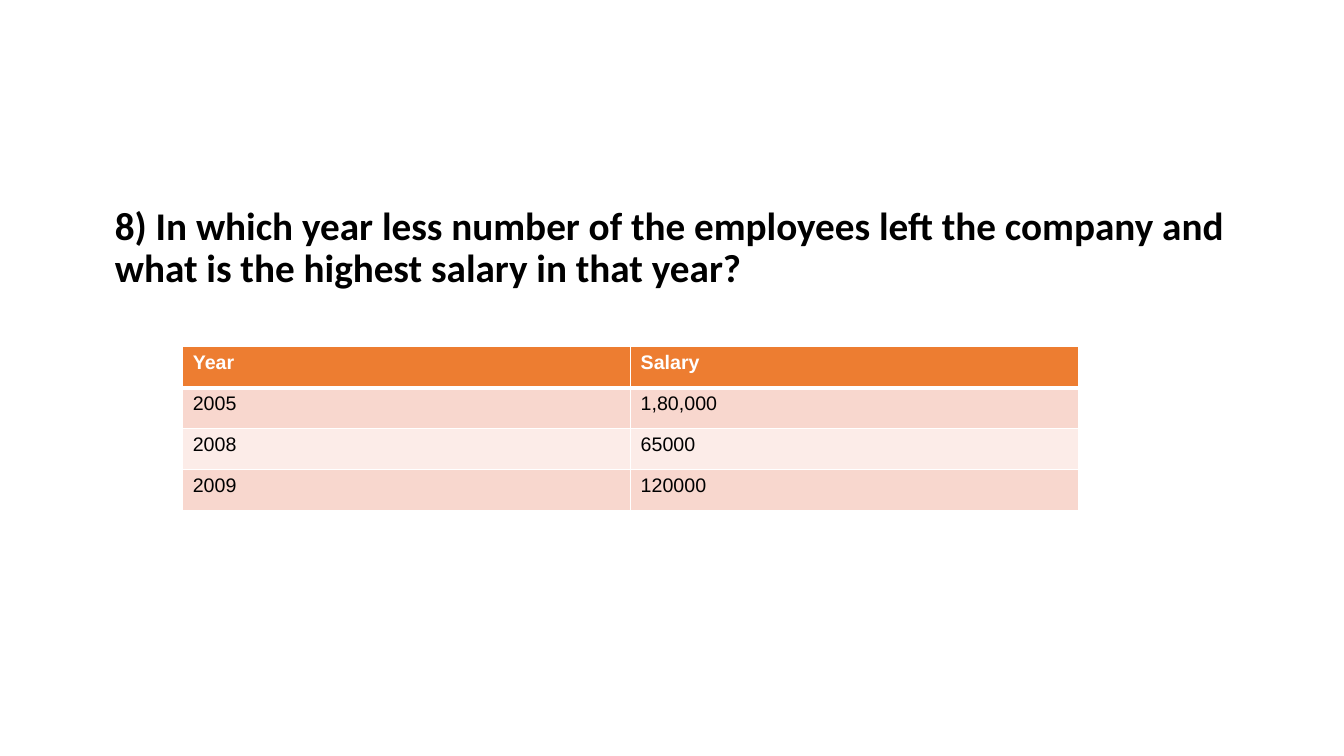
from dataclasses import dataclass

from lxml import etree
from pptx import Presentation
from pptx.dml.color import RGBColor
from pptx.enum.text import MSO_ANCHOR
from pptx.oxml.ns import qn
from pptx.util import Pt

TOP = MSO_ANCHOR.TOP


@dataclass(frozen=True)
class Theme:
    question_font: str = "Calibri"
    table_font: str = "Arial"
    question_size: float = 28
    table_size: float = 14
    ink: str = "000000"
    white: str = "FFFFFF"
    header_fill: str = "ED7D31"
    bands: tuple[str, str] = ("F8D7CE", "FCECE8")
    rule: float = 1
    header_rule: float = 3


@dataclass(frozen=True)
class SalaryRow:
    year: str
    salary: str
    is_header: bool = False


THEME = Theme()
QUESTION = (
    "8) In which year less number of the employees left the company "
    "and what is the highest salary in that year?"
)
SALARY_ROWS = [
    SalaryRow("Year", "Salary", is_header=True),
    SalaryRow("2005", "1,80,000"),
    SalaryRow("2008", "65000"),
    SalaryRow("2009", "120000"),
]
COLUMN_WIDTH = 320
ROW_HEIGHT = 29.2


def style_runs(paragraph, font_name: str, size: float, color: str, bold: bool) -> None:
    for run in paragraph.runs:
        run.font.name = font_name
        run.font.size = Pt(size)
        run.font.bold = bold
        run.font.color.rgb = RGBColor.from_string(color)


def add_question(slide) -> None:
    question = slide.shapes.add_textbox(Pt(66), Pt(143.75), Pt(828), Pt(342.6))
    frame = question.text_frame
    frame.text = QUESTION
    frame.word_wrap = True
    frame.vertical_anchor = TOP
    paragraph = frame.paragraphs[0]
    paragraph.line_spacing = 0.9
    paragraph.space_before = Pt(10)
    properties = paragraph._p.get_or_add_pPr()
    properties.set("marL", str(Pt(9)))
    properties.set("indent", "0")
    style_runs(paragraph, THEME.question_font, THEME.question_size, THEME.ink, True)


def add_border(cell, side: str, width: float) -> None:
    properties = cell._tc.get_or_add_tcPr()
    border = etree.SubElement(properties, qn(f"a:ln{side}"), w=str(Pt(width)))
    fill = etree.SubElement(border, qn("a:solidFill"))
    etree.SubElement(fill, qn("a:srgbClr"), val=THEME.white)


def fill_cell(cell, text: str, row_index: int, is_header: bool) -> None:
    top = THEME.header_rule if row_index == 1 else THEME.rule
    bottom = THEME.header_rule if is_header else THEME.rule
    for side, width in (("L", THEME.rule), ("R", THEME.rule), ("T", top), ("B", bottom)):
        add_border(cell, side, width)
    band = THEME.bands[(row_index - 1) % 2]
    cell.fill.solid()
    cell.fill.fore_color.rgb = RGBColor.from_string(THEME.header_fill if is_header else band)
    cell.text_frame.text = text
    color = THEME.white if is_header else THEME.ink
    style_runs(
        cell.text_frame.paragraphs[0], THEME.table_font, THEME.table_size, color, is_header
    )


def add_salary_table(slide) -> None:
    salaries = slide.shapes.add_table(
        len(SALARY_ROWS), 2, Pt(130.5), Pt(247.75),
        Pt(2 * COLUMN_WIDTH), Pt(len(SALARY_ROWS) * ROW_HEIGHT),
    ).table
    for column in salaries.columns:
        column.width = Pt(COLUMN_WIDTH)
    for row_index, entry in enumerate(SALARY_ROWS):
        salaries.rows[row_index].height = Pt(ROW_HEIGHT)
        for column_index, text in enumerate((entry.year, entry.salary)):
            fill_cell(salaries.cell(row_index, column_index), text, row_index, entry.is_header)


def main() -> None:
    deck = Presentation()
    deck.slide_width = Pt(960)
    deck.slide_height = Pt(540)
    slide = deck.slides.add_slide(deck.slide_layouts[6])
    add_question(slide)
    add_salary_table(slide)
    deck.save("out.pptx")


if __name__ == "__main__":
    main()
